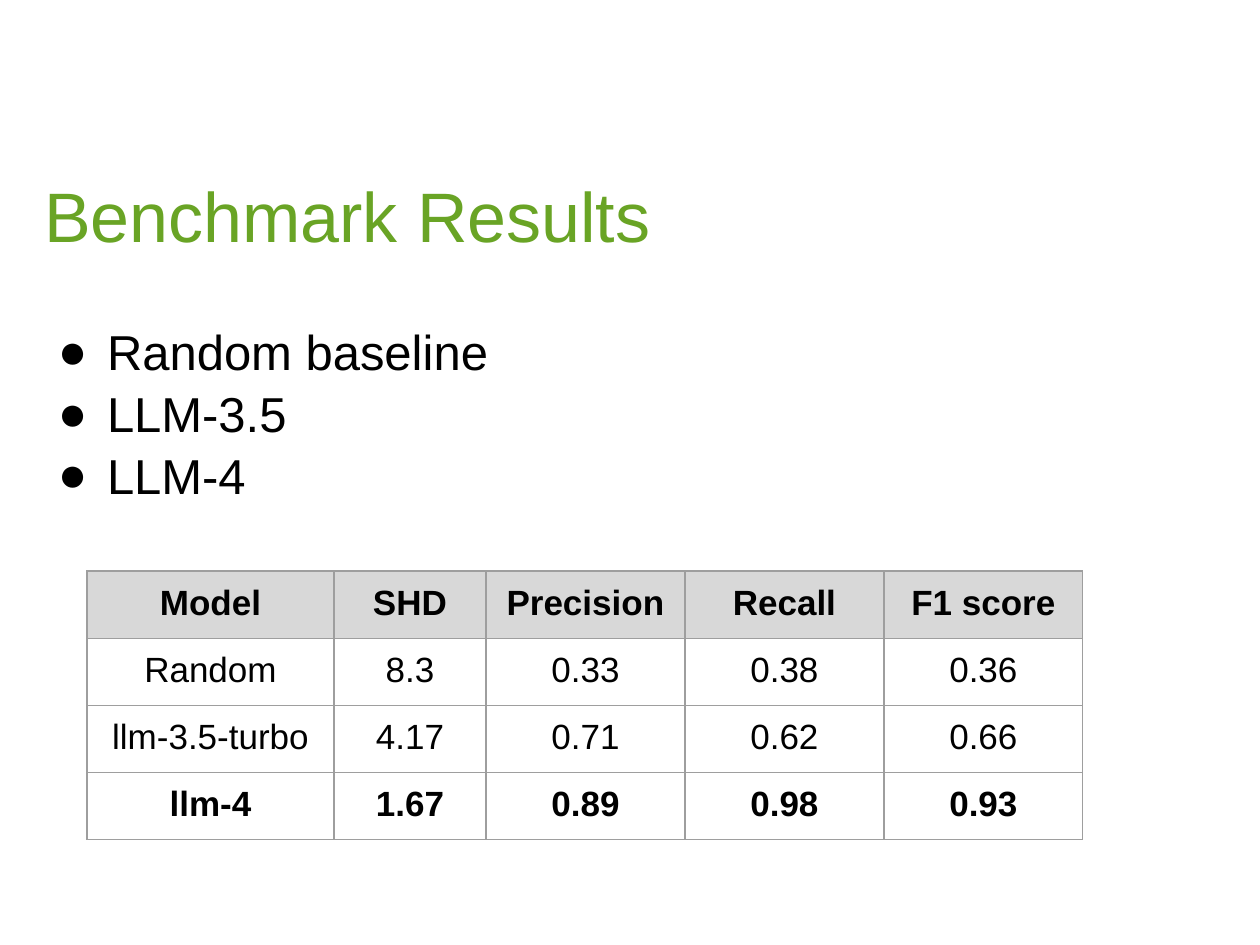
from lxml.etree import SubElement
from pptx import Presentation
from pptx.dml.color import RGBColor
from pptx.enum.text import PP_ALIGN
from pptx.oxml.ns import qn
from pptx.util import Pt

SCALE = 914400 // 126
GREEN = RGBColor(0x69, 0xA4, 0x25)
BLACK = RGBColor(0, 0, 0)
WHITE = RGBColor(255, 255, 255)
HEADER_GRAY = RGBColor(0xD8, 0xD8, 0xD8)
BORDER_GRAY = RGBColor(0x9E, 0x9E, 0x9E)

TITLE = "Benchmark Results"
BULLETS = ["Random baseline", "LLM-3.5", "LLM-4"]
RESULTS = [
    ("Model", "SHD", "Precision", "Recall", "F1 score"),
    ("Random", "8.3", "0.33", "0.38", "0.36"),
    ("llm-3.5-turbo", "4.17", "0.71", "0.62", "0.66"),
    ("llm-4", "1.67", "0.89", "0.98", "0.93"),
]
BOLD_ROWS = (0, len(RESULTS) - 1)
TITLE_BOX = (44, 166, 1081, 129)
BULLET_BOX = (44, 319, 1081, 586)
TABLE_LEFT, TABLE_TOP = 87, 571
COLUMN_WIDTHS = (247, 152, 199, 199, 199)
ROW_HEIGHT = 64
CELL_MARGIN = 12.6


def px(value):
    return round(value * SCALE)


def format_paragraph(paragraph, size, color, bold=False):
    for run in paragraph.runs:
        run.font.name = "Arial"
        run.font.size = Pt(size)
        run.font.bold = bold
        run.font.color.rgb = color


def add_text(slide, box, lines, size, color, spacing):
    text_frame = slide.shapes.add_textbox(*map(px, box)).text_frame
    text_frame.word_wrap = True
    text_frame.margin_left = text_frame.margin_right = 0
    text_frame.margin_top = text_frame.margin_bottom = 0
    text_frame.text = "\n".join(lines)
    for paragraph in text_frame.paragraphs:
        paragraph.line_spacing = spacing
        format_paragraph(paragraph, size, color)
    return text_frame.paragraphs


def add_bullet(paragraph):
    properties = paragraph._p.get_or_add_pPr()
    properties.set("marL", str(px(63)))
    properties.set("indent", str(px(-49)))
    color = SubElement(properties, qn("a:buClr"))
    SubElement(color, qn("a:srgbClr"), val=str(BLACK))
    SubElement(properties, qn("a:buFont"), typeface="Arial")
    SubElement(properties, qn("a:buChar"), char="●")


def add_borders(cell):
    properties = cell._tc.get_or_add_tcPr()
    for index, side in enumerate(("lnL", "lnR", "lnT", "lnB")):
        line = properties.makeelement(qn(f"a:{side}"), {"w": str(Pt(0.75))})
        fill = SubElement(line, qn("a:solidFill"))
        SubElement(fill, qn("a:srgbClr"), val=str(BORDER_GRAY))
        properties.insert(index, line)


def add_results(slide):
    table = slide.shapes.add_table(
        len(RESULTS), len(COLUMN_WIDTHS), px(TABLE_LEFT), px(TABLE_TOP),
        px(sum(COLUMN_WIDTHS)), px(ROW_HEIGHT * len(RESULTS))).table
    for column, width in zip(table.columns, COLUMN_WIDTHS):
        column.width = px(width)
    for row_index, values in enumerate(RESULTS):
        table.rows[row_index].height = px(ROW_HEIGHT)
        for column_index, value in enumerate(values):
            cell = table.cell(row_index, column_index)
            cell.margin_left = cell.margin_right = px(CELL_MARGIN)
            cell.margin_top = cell.margin_bottom = px(CELL_MARGIN)
            cell.fill.solid()
            cell.fill.fore_color.rgb = WHITE if row_index else HEADER_GRAY
            add_borders(cell)
            cell.text_frame.text = value
            paragraph = cell.text_frame.paragraphs[0]
            paragraph.alignment = PP_ALIGN.CENTER
            format_paragraph(paragraph, 20, BLACK, row_index in BOLD_ROWS)


presentation = Presentation()
presentation.slide_width = px(1260)
presentation.slide_height = px(945)
slide = presentation.slides.add_slide(presentation.slide_layouts[6])

bullets = add_text(slide, BULLET_BOX, BULLETS, 28, BLACK, 1.05)
bullets[0].space_before = Pt(2)
for paragraph in bullets:
    add_bullet(paragraph)
add_text(slide, TITLE_BOX, [TITLE], 40, GREEN, 1.08)
add_results(slide)

presentation.save("out.pptx")
